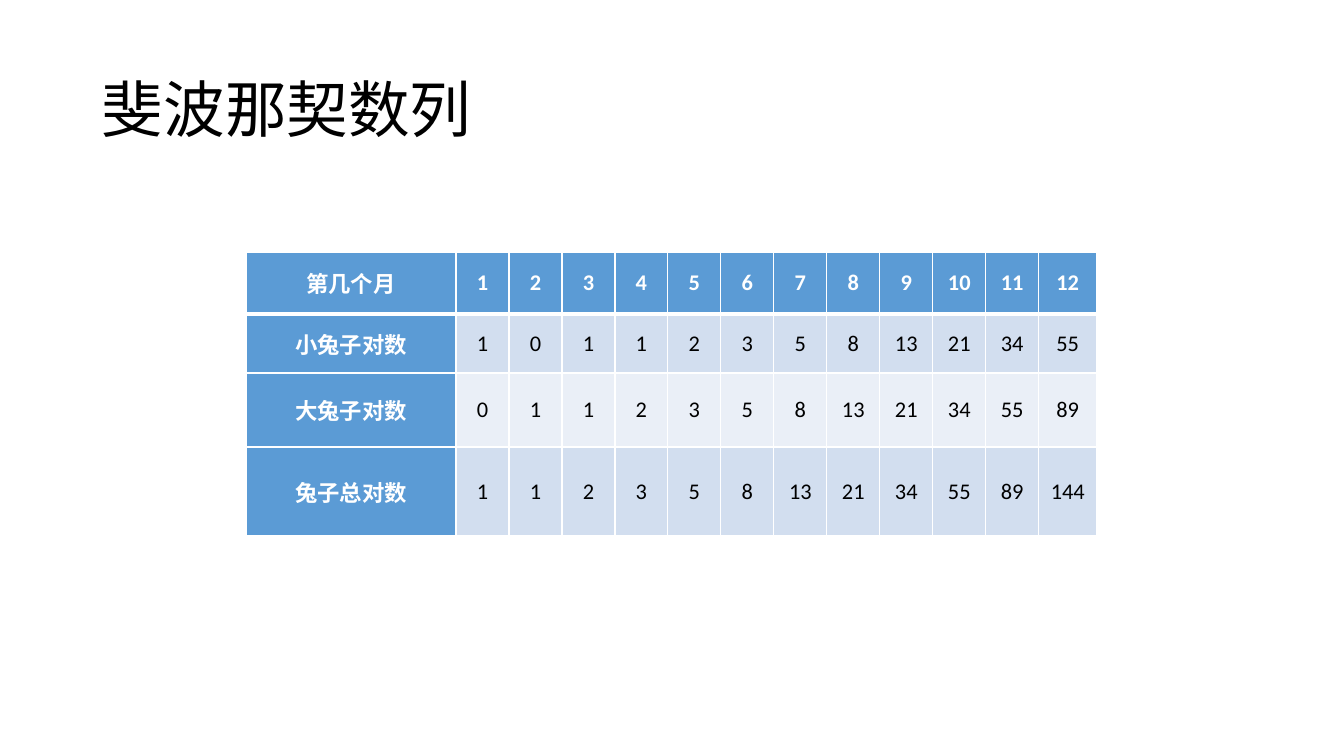
from lxml import etree
from pptx import Presentation
from pptx import util as u
from pptx.dml.color import RGBColor
from pptx.enum import text
from pptx.oxml import ns

SCALE = 914400 / 100.8
MONTHS = 12
WHITE, BLACK, BLUE = "FFFFFF", "000000", "5B9BD5"
BANDS = ["D2DEEF", "EAEFF7"]


def px(n):
    """Turn pixels into EMU."""
    return u.Emu(round(n * SCALE))


def rgb(code):
    """Turn a hex string into a colour."""
    return RGBColor.from_string(code)


def put(obj, **vals):
    """Set each given attribute on an object."""
    for name, val in vals.items():
        setattr(obj, name, val)


def edge(cell, side, width):
    """Draw one white border of a cell, with the width in points."""
    line = etree.SubElement(cell._tc.get_or_add_tcPr(), ns.qn("a:ln" + side),
                            w=str(u.Pt(width)))
    fill = etree.SubElement(line, ns.qn("a:solidFill"))
    etree.SubElement(fill, ns.qn("a:srgbClr"), val=WHITE)


def rabbits(count):
    """Return the young, adult and total pairs for each month."""
    young, adult = 1, 0
    rows = [], [], []
    for _ in range(count):
        for row, val in zip(rows, (young, adult, young + adult)):
            row.append(val)
        young, adult = adult, young + adult
    return rows


class Deck:
    """Hold the style and the current slide."""

    def __init__(self, font):
        """Start a deck with one blank slide."""
        self.font = font
        self.file = Presentation()
        put(self.file, slide_width=px(1344), slide_height=px(756))
        self.slide = self.file.slides.add_slide(self.file.slide_layouts[6])

    def words(self, frame, string, size, color, bold=False, **form):
        """Fill a text frame with one styled paragraph."""
        para = frame.paragraphs[0]
        put(para, **form)
        run = para.add_run()
        run.text = str(string)
        put(run.font, name=self.font, size=u.Pt(size), bold=bold)
        run.font.color.rgb = rgb(color)

    def label(self, box, string, size, color):
        """Add a wrapped text box, centred in height."""
        frame = self.slide.shapes.add_textbox(*map(px, box)).text_frame
        put(frame, word_wrap=True, vertical_anchor=text.MSO_ANCHOR.MIDDLE)
        self.words(frame, string, size, color, line_spacing=0.9)

    def cell(self, cell, string, row, head):
        """Style and fill one table cell."""
        put(cell, margin_left=px(7), margin_right=px(7), margin_top=0,
            margin_bottom=0, vertical_anchor=text.MSO_ANCHOR.MIDDLE)
        tops = {1: 3}
        for side, width in zip("LRTB", (1, 1, tops.get(row, 1), tops.get(row + 1, 1))):
            edge(cell, side, width)
        cell.fill.solid()
        cell.fill.fore_color.rgb = rgb(BLUE if head else BANDS[(row - 1) % 2])
        self.words(cell.text_frame, string, 16, WHITE if head else BLACK, head,
                   alignment=text.PP_ALIGN.CENTER)

    def table(self, left, top, cols, rows, data):
        """Add a table with a header row and a header column."""
        box = map(px, (left, top, sum(cols), sum(rows)))
        grid = self.slide.shapes.add_table(len(rows), len(cols), *box).table
        for col, width in zip(grid.columns, cols):
            col.width = px(width)
        for row, height in zip(grid.rows, rows):
            row.height = px(height)
        for r, line in enumerate(data):
            for c, string in enumerate(line):
                self.cell(grid.cell(r, c), string, r, r == 0 or c == 0)


deck = Deck("Calibri")
deck.label((92, 40, 1159, 146), "斐波那契数列", 44, BLACK)
names = ["第几个月", "小兔子对数", "大兔子对数", "兔子总对数"]
series = [range(1, MONTHS + 1), *rabbits(MONTHS)]
deck.table(246, 252, [210] + [53] * (MONTHS - 1) + [58], [62, 59, 74, 89],
           [[name, *vals] for name, vals in zip(names, series)])
deck.file.save("out.pptx")
